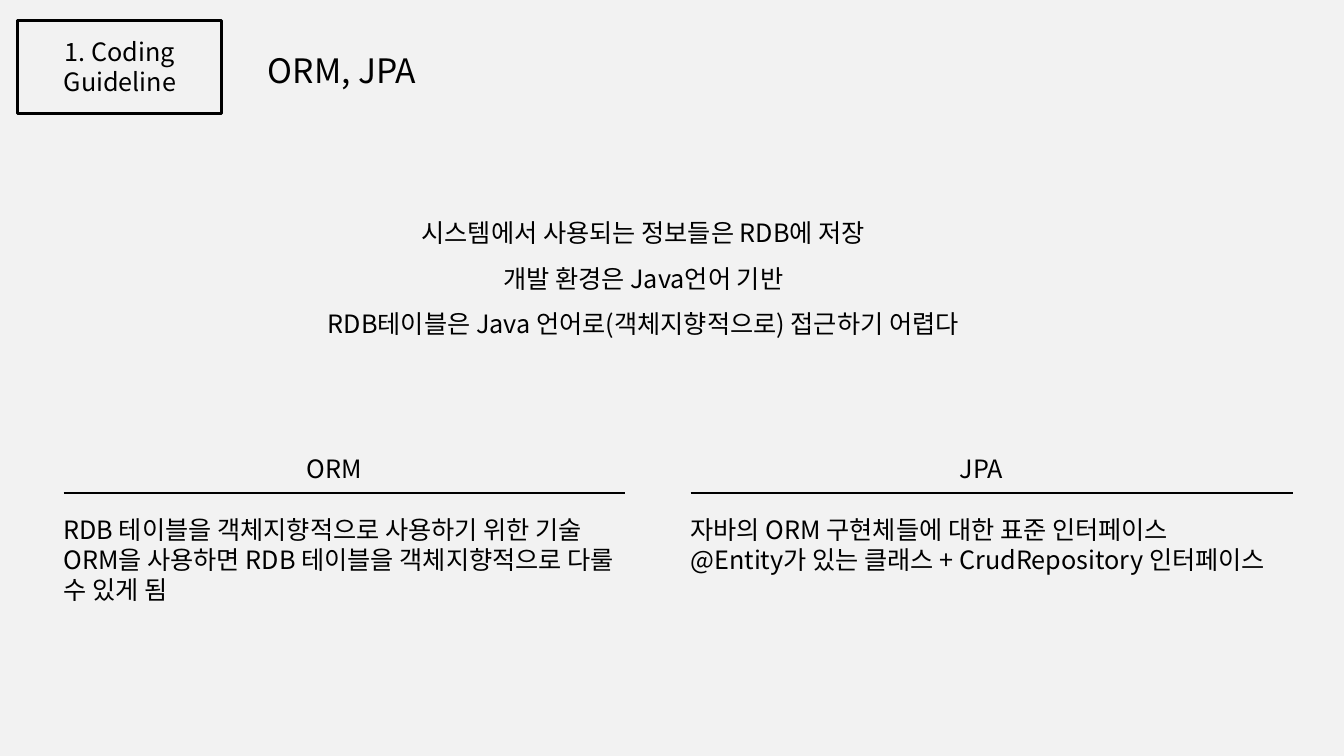
import lxml.etree
import pptx
import pptx.dml.color
import pptx.enum.shapes
import pptx.enum.text
import pptx.oxml.ns
import pptx.util

Inches = pptx.util.Inches
CENTER = pptx.enum.text.PP_ALIGN.CENTER
LEFT = pptx.enum.text.PP_ALIGN.LEFT
BLACK = pptx.dml.color.RGBColor(0x00, 0x00, 0x00)
PAPER = pptx.dml.color.RGBColor(0xF2, 0xF2, 0xF2)
FONT = "Noto Sans CJK KR"


def add_text(slide, box, lines, align=LEFT, size=18, spacing=1.0):
    """Add a wrapped text box with one paragraph per line."""
    frame = slide.shapes.add_textbox(*map(Inches, box)).text_frame
    frame.word_wrap = True
    for index, line in enumerate(lines):
        para = frame.paragraphs[0] if index == 0 else frame.add_paragraph()
        para.alignment = align
        para.line_spacing = spacing
        span = para.add_run()
        span.text = line
        span.font.name = FONT
        span.font.size = pptx.util.Pt(size)
        span.font.color.rgb = BLACK
        east_asian = lxml.etree.SubElement(
            span.font._element, pptx.oxml.ns.qn("a:ea"))
        east_asian.set("typeface", FONT)


def add_rule(slide, left, top, width):
    """Add a thin horizontal line."""
    rule = slide.shapes.add_connector(
        pptx.enum.shapes.MSO_CONNECTOR.STRAIGHT,
        Inches(left), Inches(top), Inches(left + width), Inches(top))
    rule.line.color.rgb = BLACK
    rule.line.width = pptx.util.Pt(1.25)
    lxml.etree.SubElement(
        rule._element.spPr, pptx.oxml.ns.qn("a:effectLst"))


def add_header(slide, box, section, title):
    """Add the framed section name and the slide title beside it."""
    left, top, width, height = box
    add_text(slide, (left + 0.06, top + 0.11, width - 0.11, 0.71),
             [section], CENTER)
    border = slide.shapes.add_shape(
        pptx.enum.shapes.MSO_SHAPE.RECTANGLE, *map(Inches, box))
    border.shadow.inherit = False
    border.fill.background()
    border.line.color.rgb = BLACK
    border.line.width = pptx.util.Pt(2)
    add_text(slide, (left + 2.39, top + 0.25, 3.64, 0.5), [title], size=24)


def add_definition(slide, box, rule_width, term, lines):
    """Add a centred term, the rule under it and its explanation."""
    left, top, width, height = box
    add_text(slide, (left, top, rule_width, 0.4), [term], CENTER)
    add_text(slide, (left, top + 0.6, width, height - 0.6), lines)
    add_rule(slide, left + 0.1, top + 0.44, rule_width)


def main():
    """Build the slide and save the deck."""
    deck = pptx.Presentation()
    deck.slide_width = Inches(13.33)
    deck.slide_height = Inches(7.5)
    page = deck.slides.add_slide(deck.slide_layouts[6])
    page.background.fill.solid()
    page.background.fill.fore_color.rgb = PAPER

    add_header(page, (0.17, 0.2, 2.03, 0.93),
               "1. Coding Guideline", "ORM, JPA")
    add_text(page, (2.85, 1.96, 7.06, 1.41), [
        "시스템에서 사용되는 정보들은 RDB에 저장",
        "개발 환경은 Java언어 기반",
        "RDB테이블은 Java 언어로(객체지향적으로) 접근하기 어렵다",
    ], CENTER, spacing=1.5)
    add_definition(page, (0.53, 4.45, 5.94, 1.61), 5.57, "ORM", [
        "RDB 테이블을 객체지향적으로 사용하기 위한 기술",
        "ORM을 사용하면 RDB 테이블을 객체지향적으로 다룰 수 있게 됨",
    ])
    add_definition(page, (6.75, 4.45, 6.22, 1.31), 5.97, "JPA", [
        "자바의 ORM 구현체들에 대한 표준 인터페이스",
        "@Entity가 있는 클래스 + CrudRepository 인터페이스",
    ])
    deck.save("out.pptx")


if __name__ == "__main__":
    main()
